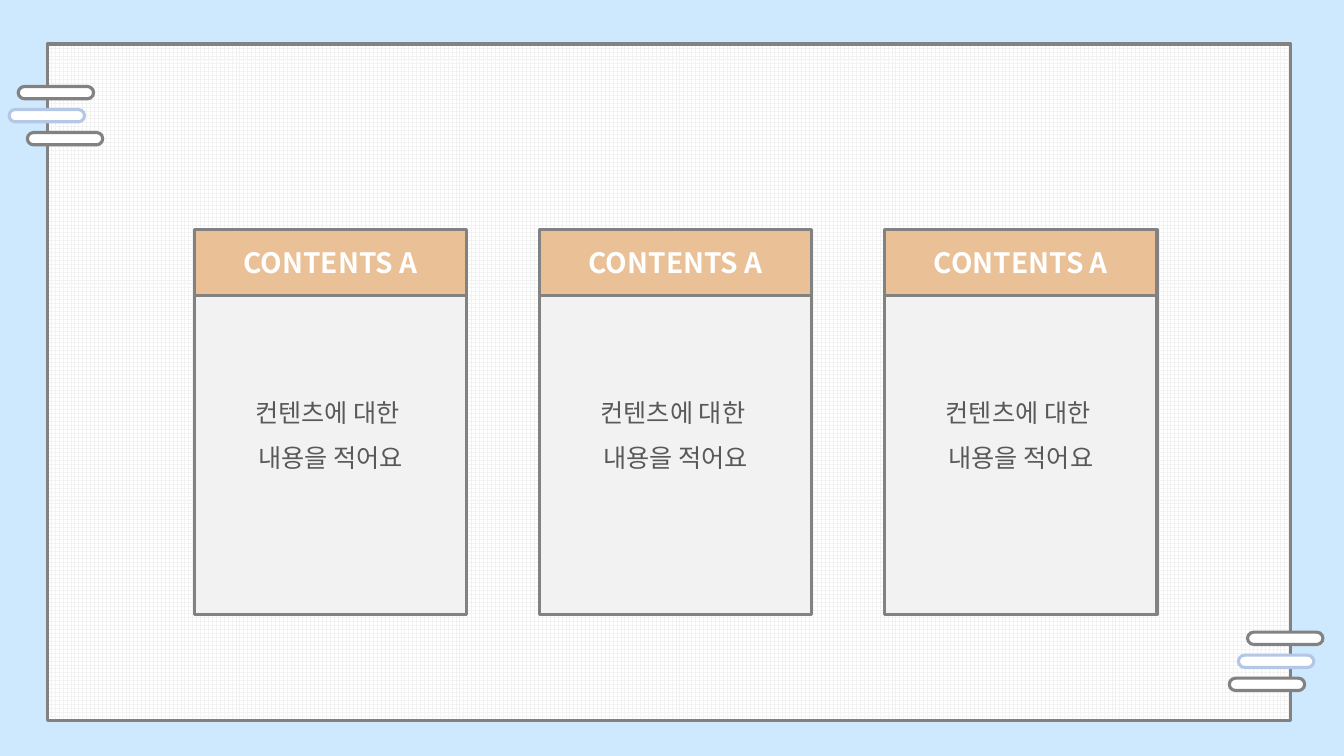
from pptx import Presentation, util as u
from pptx.dml.color import RGBColor
from pptx.enum import dml, shapes, text
from pptx.oxml.ns import qn
from lxml import etree

# Content
CARDS = [("CONTENTS A", ["컨텐츠에 대한 ", "내용을 적어요"])] * 3
FONT = "Noto Sans CJK KR"
COLORS = {"sky": "CEE9FE", "white": "FFFFFF", "grid": "F2F2F2", "line": "828282",
          "blue": "B4C7E7", "tan": "EAC096", "body": "F2F2F2", "ink": "595959"}
HEAD = {"size": u.Pt(20), "bold": True, "name": FONT}
BODY = {"size": u.Pt(18), "bold": False, "name": FONT}

# Layout in centimetres
FRAME = (1.19, 1.11, 31.34, 17.05)
BAR_W, BAR_H, BAR_STEP = 1.9, 0.31, 0.58
BAR_LINES = ["line", "blue", "line"]
BAR_STACKS = [(2.18, [0.46, 0.23, 0.69]), (15.93, [31.44, 31.21, 30.98])]
CARD_X, CARD_Y, CARD_W, CARD_STEP = 4.9, 5.79, 6.86, 8.7
HEAD_H, BODY_H = 1.66, 8.03
HEAD_INSETS = (0.25, 0.13, 0.25, 0.13)
BODY_INSETS = (0.71, 0.13, 0.71, 1.51)


def rgb(name):
    return RGBColor.from_string(COLORS[name])


def box(parent, kind, at, fill, line="line"):
    sp = parent.shapes.add_shape(kind, *(u.Cm(v) for v in at))
    sp.shadow.inherit = False
    sp.fill.solid()
    sp.fill.fore_color.rgb = rgb(fill)
    sp.line.color.rgb = rgb(line)
    sp.line.width = u.Pt(2.25)
    return sp


def write(sp, lines, fmt, color, insets, spacing):
    tf = sp.text_frame
    tf.word_wrap = True
    tf.vertical_anchor = text.MSO_ANCHOR.MIDDLE
    for side, value in zip(("left", "top", "right", "bottom"), insets):
        setattr(tf, f"margin_{side}", u.Cm(value))
    for i, line in enumerate(lines):
        p = tf.add_paragraph() if i else tf.paragraphs[0]
        p.alignment = text.PP_ALIGN.CENTER
        p.line_spacing = spacing
        r = p.add_run()
        r.text = line
        for key, value in fmt.items():
            setattr(r.font, key, value)
        r.font.color.rgb = rgb(color)
        etree.SubElement(r.font._element, qn("a:ea"), typeface=FONT)


prs = Presentation()
prs.slide_width, prs.slide_height = u.Cm(33.87), u.Cm(19.05)
s = prs.slides.add_slide(prs.slide_layouts[6])
s.background.fill.solid()
s.background.fill.fore_color.rgb = rgb("sky")
RECT, ROUND = shapes.MSO_SHAPE.RECTANGLE, shapes.MSO_SHAPE.ROUNDED_RECTANGLE

# Grid paper frame
paper = box(s, RECT, FRAME, "white")
paper.fill.patterned()
paper.fill.pattern = dml.MSO_PATTERN.LARGE_GRID
paper.fill.fore_color.rgb = rgb("grid")
paper.fill.back_color.rgb = rgb("white")

# Binder bars at two corners
for top, lefts in BAR_STACKS:
    group = s.shapes.add_group_shape()
    for i, (left, line) in enumerate(zip(lefts, BAR_LINES)):
        at = (left, top + i * BAR_STEP, BAR_W, BAR_H)
        box(group, ROUND, at, "white", line).adjustments[0] = 0.5

# Cards: heading above body
for i, (title, lines) in enumerate(CARDS):
    group = s.shapes.add_group_shape()
    x = CARD_X + i * CARD_STEP
    head = box(group, RECT, (x, CARD_Y, CARD_W, HEAD_H), "tan")
    write(head, [title], HEAD, "white", HEAD_INSETS, 1.0)
    body = box(group, RECT, (x, CARD_Y + HEAD_H, CARD_W, BODY_H), "body")
    write(body, lines, BODY, "ink", BODY_INSETS, 1.5)

prs.save("out.pptx")
